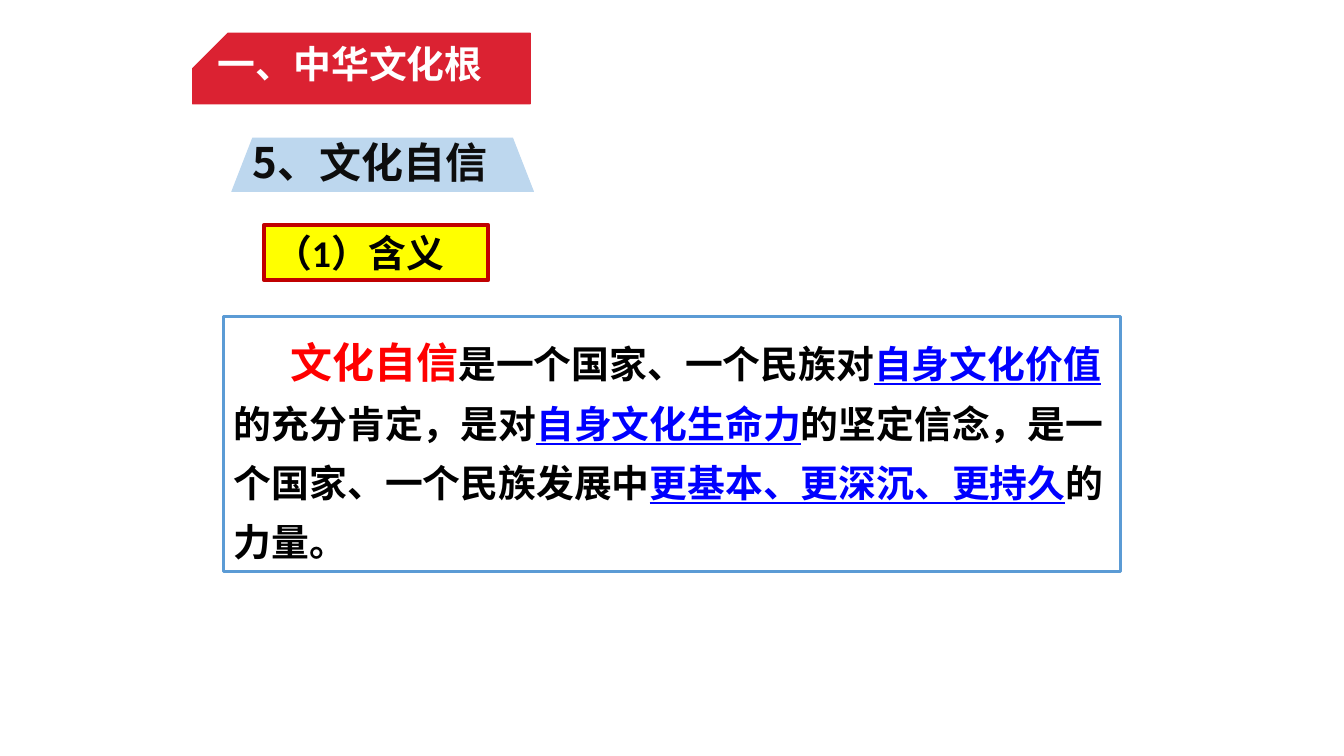
from pptx import Presentation
from pptx.dml.color import RGBColor
from pptx.enum.shapes import MSO_SHAPE
from pptx.enum.text import MSO_ANCHOR, PP_ALIGN
from pptx.oxml.ns import qn
from pptx.util import Inches, Pt
from lxml import etree

RECT, SNIP, TRAPEZOID = MSO_SHAPE.RECTANGLE, MSO_SHAPE.SNIP_1_RECTANGLE, MSO_SHAPE.TRAPEZOID
TOP, MIDDLE, LEFT = MSO_ANCHOR.TOP, MSO_ANCHOR.MIDDLE, PP_ALIGN.LEFT
CJK = "Noto Sans CJK SC"
BLACK, WHITE = RGBColor(0, 0, 0), RGBColor(255, 255, 255)
RED, BLUE = RGBColor(255, 0, 0), RGBColor(0, 0, 255)
BANNER, PALE = RGBColor(0xDB, 0x22, 0x32), RGBColor(0xBD, 0xD7, 0xEE)
YELLOW, DARK_RED = RGBColor(255, 255, 0), RGBColor(0xC0, 0, 0)
FRAME, INK = RGBColor(0x5B, 0x9B, 0xD5), RGBColor(0x0D, 0x0D, 0x0D)

# Content
TITLE = "一、中华文化根"
TOPIC = "5、文化自信"
LABEL = "（1）含义"
TERM = dict(size=30, color=RED)
KEY = dict(color=BLUE, underline=True)
MEANING = [
    ("文化自信", TERM),
    ("是一个国家、一个民族对", {}),
    ("自身文化价值", KEY),
    ("的充分肯定，是对", {}),
    ("自身文化生命力", KEY),
    ("的坚定信念，是一个国家、一个民族发展中", {}),
    ("更基本、更深沉、更持久", KEY),
    ("的力量。", {}),
]


def add_run(p, text, size=27, color=BLACK, font=CJK, underline=False):
    r = p.add_run()
    r.text = text
    r.font.name, r.font.size, r.font.bold = font, Pt(size), True
    r.font.color.rgb = color
    if underline:
        r.font.underline = True
    ea = etree.SubElement(r.font._element, qn("a:ea"))
    ea.set("typeface", CJK)


def set_frame(sp, anchor=TOP, inset=(0.1, 0.05), spacing=1.0):
    tf = sp.text_frame
    tf.word_wrap, tf.vertical_anchor = True, anchor
    tf.margin_left = tf.margin_right = Inches(inset[0])
    tf.margin_top = tf.margin_bottom = Inches(inset[1])
    p = tf.paragraphs[0]
    p.alignment, p.line_spacing = LEFT, spacing
    return p


def add_box(kind, box, line, width, fill=None, adj=None):
    sp = s.shapes.add_shape(kind, *map(Inches, box))
    sp.shadow.inherit = False
    if fill is None:
        sp.fill.background()
    else:
        sp.fill.solid()
        sp.fill.fore_color.rgb = fill
    sp.line.color.rgb, sp.line.width = line, Pt(width)
    if adj is not None:
        sp.adjustments[0] = adj
    return sp


prs = Presentation()
prs.slide_width, prs.slide_height = Inches(13.33), Inches(7.5)
s = prs.slides.add_slide(prs.slide_layouts[5])

# Meaning paragraph
sp = add_box(RECT, (2.22, 3.14, 8.89, 2.53), FRAME, 2.25)
p = set_frame(sp, spacing=1.3)
p._p.get_or_add_pPr().set("indent", str(Inches(0.56)))
for text, style in MEANING:
    add_run(p, text, **style)

# Yellow label
sp = add_box(RECT, (2.62, 2.23, 2.22, 0.55), DARK_RED, 3, YELLOW)
add_run(set_frame(sp), LABEL, font="Calibri")

# Banner with its cut corner on the left, behind the title
banner = add_box(SNIP, (1.91, 0.33, 3.35, 0.7), BANNER, 0.75, BANNER, 0.5)
banner._element.spPr.get_or_add_xfrm().set("flipH", "1")
title = s.shapes.title
title.left, title.top, title.width, title.height = map(Inches, (2.09, 0.33, 3.17, 0.7))
add_run(set_frame(title, MIDDLE, (0.07, 0.04), 0.7), TITLE, color=WHITE)
banner._element.addnext(title._element)

# Topic
sp = add_box(TRAPEZOID, (2.3, 1.37, 2.99, 0.53), PALE, 0.75, PALE, 0.39)
add_run(set_frame(sp, MIDDLE, (0.07, 0.04), 0.8), TOPIC, size=30, color=INK)

prs.save("out.pptx")
